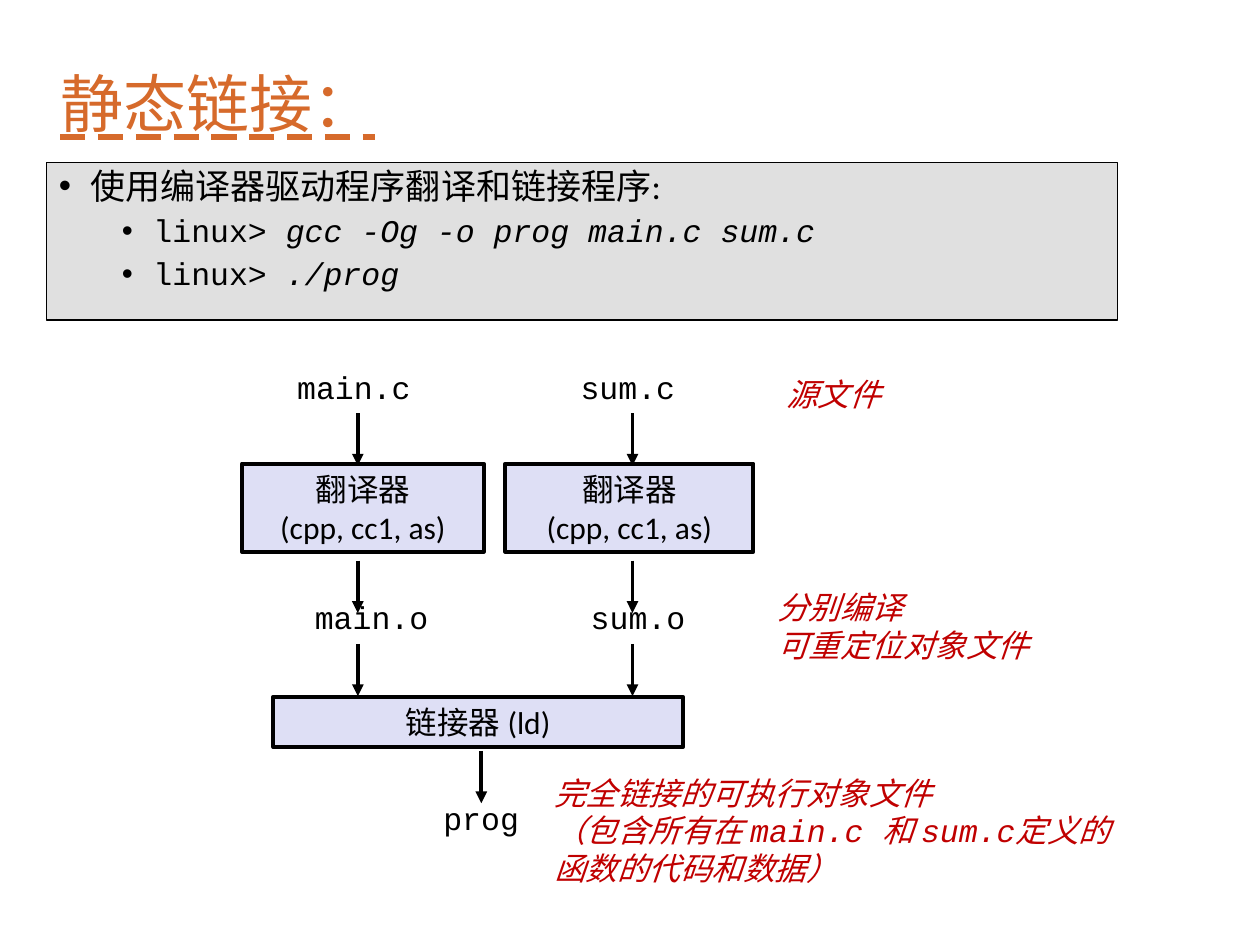
from lxml import etree
from pptx import Presentation
from pptx import util as u
from pptx.dml.color import RGBColor
from pptx.enum import shapes, text
from pptx.oxml import ns

WIDE, HIGH = u.Inches(10), u.Inches(7.5)
COLS, ROWS = 100, 75
BLACK = RGBColor(0, 0, 0)
RED = RGBColor(0xC0, 0, 0)
RUST = RGBColor(0xD6, 0x6A, 0x2B)
GREY = RGBColor(0xE0, 0xE0, 0xE0)
LILAC = RGBColor(0xDE, 0xDF, 0xF5)
SANS, MONO, HAN = "Calibri", "Courier New", "Noto Sans CJK SC"
LEFT, MID = text.PP_ALIGN.LEFT, text.PP_ALIGN.CENTER


def cell(col, row):
    return round(WIDE * col / COLS), round(HIGH * row / ROWS)


def add(node, tag, **attrs):
    return etree.SubElement(node, ns.qn(tag), **attrs)


def write(frame, lines, size=18, font=SANS, color=BLACK, align=LEFT,
          italic=False, wrap=False, grow=True):
    frame.word_wrap = wrap
    fit = text.MSO_AUTO_SIZE
    frame.auto_size = fit.SHAPE_TO_FIT_TEXT if grow else fit.NONE
    for i, line in enumerate(lines):
        para = frame.paragraphs[0] if i == 0 else frame.add_paragraph()
        para.alignment = align
        for part in [line] if isinstance(line, str) else line:
            words, face, slant = (part, font, italic) if isinstance(part, str) else part
            run = para.add_run()
            run.text = words
            run.font.size = u.Pt(size)
            run.font.name = face
            run.font.italic = slant
            run.font.color.rgb = color


def label(slide, col, row, wide, high, lines, **form):
    box = slide.shapes.add_textbox(*cell(col, row), *cell(wide, high))
    write(box.text_frame, lines, **form)
    return box


def block(slide, col, row, wide, high, lines, fill=LILAC, line=2.25, **form):
    box = slide.shapes.add_shape(shapes.MSO_SHAPE.RECTANGLE,
                                 *cell(col, row), *cell(wide, high))
    box.shadow.inherit = False
    box.fill.solid()
    box.fill.fore_color.rgb = fill
    box.line.color.rgb = BLACK
    box.line.width = u.Pt(line)
    write(box.text_frame, lines, wrap=True, **form)
    return box


def arrow(slide, col, row, drop=4.15):
    link = slide.shapes.add_connector(shapes.MSO_CONNECTOR.STRAIGHT,
                                      *cell(col, row), *cell(col, row + drop))
    link.line.color.rgb = BLACK
    link.line.width = u.Pt(2.25)
    add(link.line._get_or_add_ln(), "a:tailEnd", type="triangle")
    add(link._element.spPr, "a:effectLst")


def bullet(para, level, before):
    para.level = level
    props = para._p.get_or_add_pPr()
    props.set("marL", str(u.Inches(0.25 + level * 0.5)))
    props.set("indent", str(-u.Inches(0.25)))
    para.line_spacing = 0.9
    para.space_before = u.Pt(before)
    add(props, "a:buFont", typeface="Arial")
    add(props, "a:buChar", char="•")


def title(slide):
    box = label(slide, 3.8, 3.5, 27.8, 8.2, ["静态链接："], size=36, font=HAN,
                color=RUST, wrap=True, grow=False)
    box.text_frame.vertical_anchor = text.MSO_ANCHOR.BOTTOM
    para = box.text_frame.paragraphs[0]
    para.line_spacing = 0.9
    font = para.runs[0].font
    font.underline = text.MSO_UNDERLINE.DASH_HEAVY_LINE
    add(font._element, "a:ea", typeface=HAN)


def intro(slide):
    shell = ("linux> ", MONO, False)
    box = block(slide, 3.7, 12.9, 85, 12.5,
                ["使用编译器驱动程序翻译和链接程序:",
                 [shell, ("gcc -Og -o prog main.c sum.c", MONO, True)],
                 [shell, ("./prog", MONO, True)]],
                fill=GREY, line=0.75, grow=False)
    box.text_frame.vertical_anchor = text.MSO_ANCHOR.TOP
    head, *rest = box.text_frame.paragraphs
    head.runs[0].font.size = u.Pt(20)
    bullet(head, 0, 0)
    for para in rest:
        bullet(para, 1, 5)


def flow(slide):
    block(slide, 21.7, 55.3, 32.5, 4, ["链接器 (ld)"], align=MID)
    for col, wide in ((19.2, 19.2), (40.1, 19.7)):
        block(slide, col, 36.8, wide, 7, ["翻译器", "(cpp, cc1, as)"], align=MID)
    for name, col, row, wide in (("main.c", 22.6, 28.7, 11.1),
                                 ("sum.c", 45.1, 28.7, 9.6),
                                 ("main.o", 24, 47, 11.1),
                                 ("sum.o", 45.9, 47, 9.6),
                                 ("prog", 34.2, 62.9, 8.1)):
        label(slide, col, row, wide, 4, [name], font=MONO)
    for col in (28.4, 50.2):
        for row in (32.8, 44.5, 51.1):
            arrow(slide, col, row)
    arrow(slide, 38.2, 59.6)


def notes(slide):
    form = dict(color=RED, italic=True)
    label(slide, 61.4, 29.3, 9.5, 4, ["源文件"], **form)
    label(slide, 60.7, 46.2, 22, 7.1, ["分别编译", "可重定位对象文件"], **form)
    label(slide, 43, 60.9, 47.1, 13.1,
          ["完全链接的可执行对象文件",
           ["（包含所有在 ", ("main.c 和 sum.c定义的", MONO, True)],
           "函数的代码和数据）"], wrap=True, **form)


def main():
    deck = Presentation()
    deck.slide_width, deck.slide_height = WIDE, HIGH
    slide = deck.slides.add_slide(deck.slide_layouts[6])
    title(slide)
    intro(slide)
    flow(slide)
    notes(slide)
    deck.save("out.pptx")


if __name__ == "__main__":
    main()
